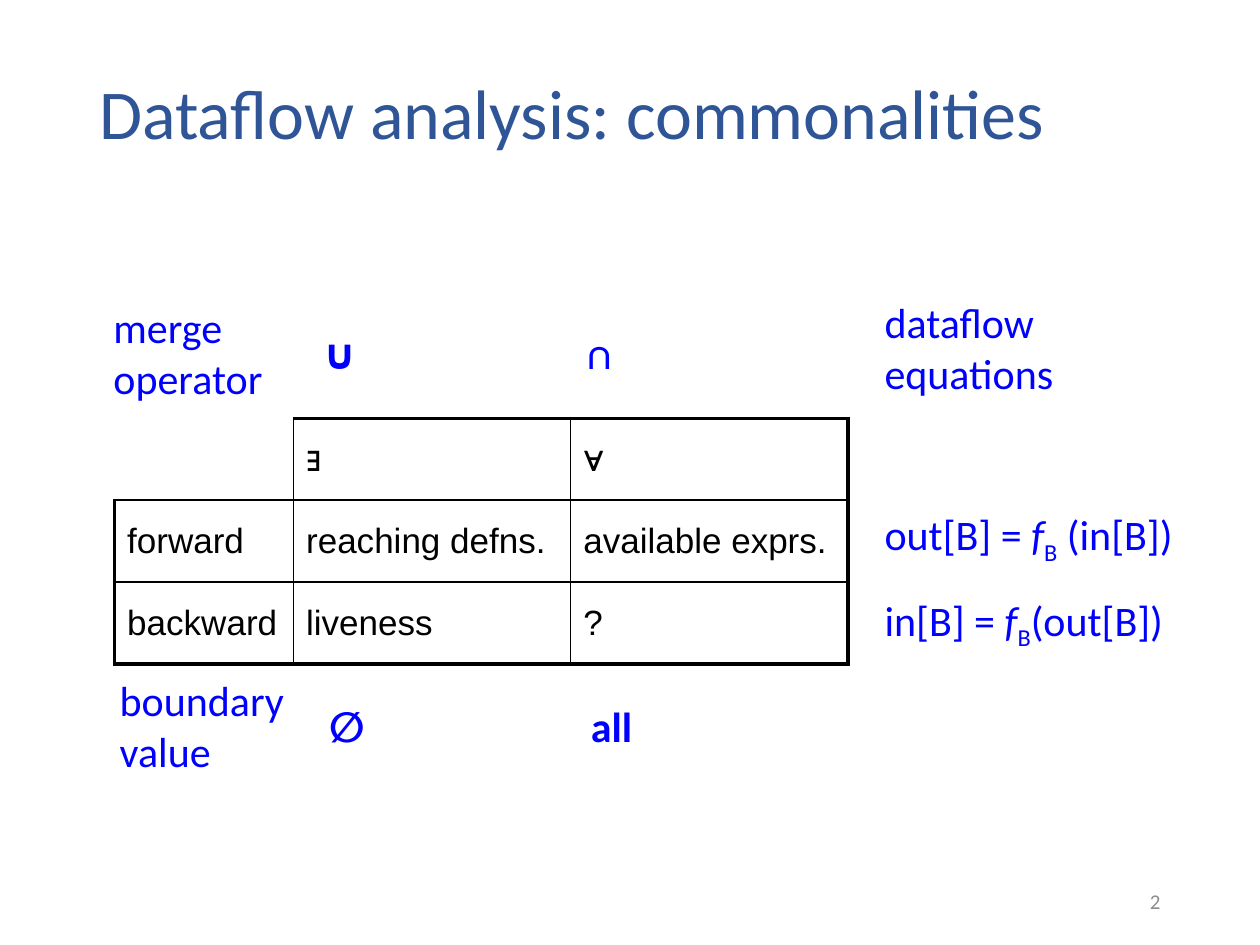
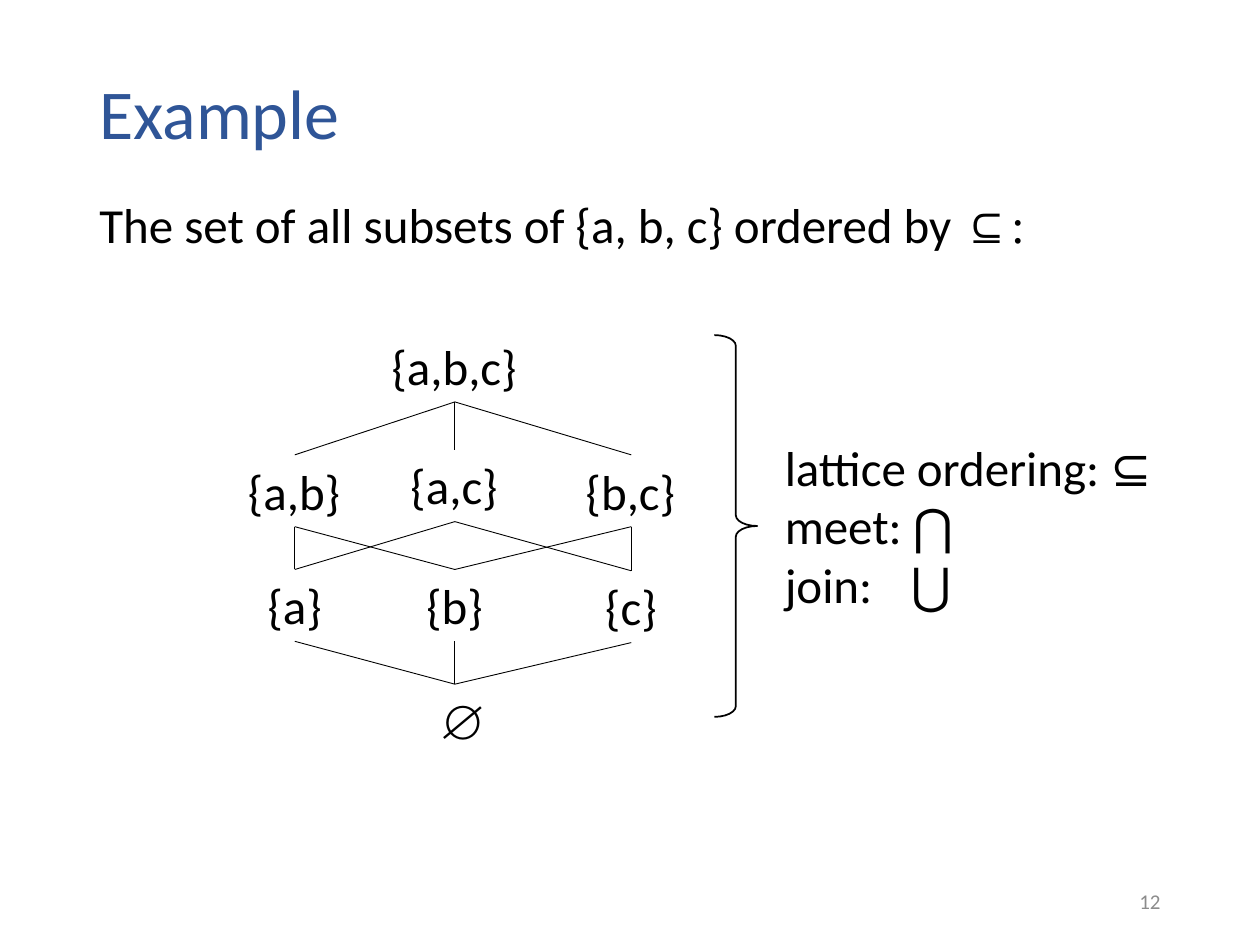
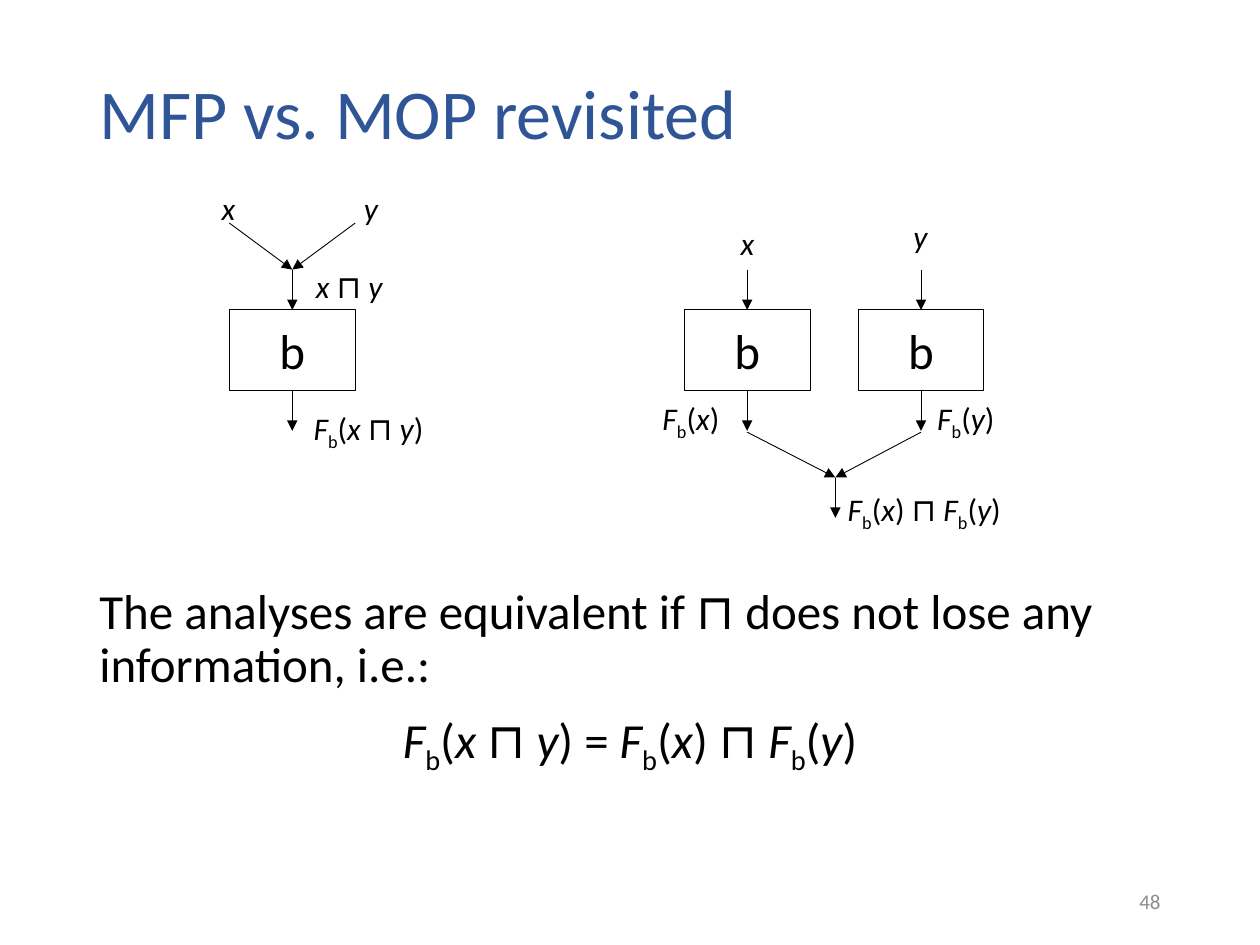
from itertools import combinations, groupby

from lxml.etree import SubElement
from pptx import Presentation
from pptx.dml.color import RGBColor
from pptx.enum.shapes import MSO_CONNECTOR, MSO_SHAPE
from pptx.enum.text import MSO_ANCHOR, MSO_AUTO_SIZE, PP_ALIGN
from pptx.oxml.ns import qn
from pptx.util import Inches, Pt

TITLE_BLUE = RGBColor(0x2F, 0x55, 0x97)
NOTE_BLUE = RGBColor(0x00, 0x00, 0xFF)
BLACK = RGBColor(0x00, 0x00, 0x00)
FOOTER_GREY = RGBColor(0x8C, 0x8C, 0x8C)
BODY_FONT = "Calibri"
GRID_FONT = "Arial"
SET_FONT = "Times New Roman"
PLAIN_TABLE_STYLE = "{2D5ABB26-0587-4C30-8999-92F81FD0307C}"
THICK, THIN, HAIR = 2.25, 1, 0.5
MARGIN, CONTENT_WIDTH = 0.69, 8.62


# ---- Text ----

def add_run(paragraph, text, size, color=BLACK, font=BODY_FONT,
            bold=False, italic=False, subscript=False):
    run = paragraph.add_run()
    run.text = text
    run.font.name = font
    run.font.size = Pt(size)
    run.font.color.rgb = color
    run.font.bold = bold
    run.font.italic = italic
    if subscript:
        run.font._element.set("baseline", "-25000")


def add_formula(paragraph, formula, size, color=BLACK):
    """Set F, f, x and y in italics; an underscore lowers the next letter."""
    styled = [(letter, letter in "Ffxy", before == "_")
              for before, letter in zip(" " + formula, formula) if letter != "_"]
    for (italic, subscript), letters in groupby(styled, key=lambda s: s[1:]):
        add_run(paragraph, "".join(s[0] for s in letters), size, color,
                italic=italic, subscript=subscript)


def add_text_frame(slide, box, anchor=MSO_ANCHOR.TOP, wrap=True):
    frame = slide.shapes.add_textbox(*map(Inches, box)).text_frame
    frame.word_wrap = wrap
    frame.vertical_anchor = anchor
    frame.auto_size = MSO_AUTO_SIZE.NONE if wrap else MSO_AUTO_SIZE.SHAPE_TO_FIT_TEXT
    return frame


def add_label(slide, left, top, width, formula):
    frame = add_text_frame(slide, (left, top, width, 0.4), wrap=False)
    add_formula(frame.paragraphs[0], formula, 18)


def add_titled_slide(deck, title, number):
    slide = deck.slides.add_slide(deck.slide_layouts[6])
    heading = add_text_frame(slide, (MARGIN, 0.4, CONTENT_WIDTH, 1.05),
                             MSO_ANCHOR.MIDDLE).paragraphs[0]
    heading.line_spacing = 0.9
    add_run(heading, title, 40, TITLE_BLUE)
    footer = add_text_frame(slide, (7.06, 6.95, 2.25, 0.4),
                            MSO_ANCHOR.MIDDLE).paragraphs[0]
    footer.alignment = PP_ALIGN.RIGHT
    add_run(footer, str(number), 12, FOOTER_GREY)
    return slide


# ---- Lines and tables ----

def add_line(slide, start, end, arrow=False):
    line = slide.shapes.add_connector(MSO_CONNECTOR.STRAIGHT,
                                      *map(Inches, (*start, *end)))
    line.line.color.rgb = BLACK
    line.line.width = Pt(HAIR)
    if arrow:
        SubElement(line.line._get_or_add_ln(), qn("a:tailEnd"), type="triangle")
    SubElement(line._element.spPr, qn("a:effectLst"))


def add_plain_table(slide, left, top, widths, heights):
    table = slide.shapes.add_table(
        len(heights), len(widths),
        *map(Inches, (left, top, sum(widths), sum(heights)))).table
    table.first_row = table.horz_banding = False
    table._tbl.tblPr.find(qn("a:tableStyleId")).text = PLAIN_TABLE_STYLE
    for column, width in zip(table.columns, widths):
        column.width = Inches(width)
    for row, height in zip(table.rows, heights):
        row.height = Inches(height)
    for cell in table.iter_cells():
        cell.fill.background()
        cell.vertical_anchor = MSO_ANCHOR.MIDDLE
    return table


def add_cell_borders(cell, widths):
    """Draw the given sides, keyed L, R, T and B, ahead of the cell fill."""
    properties = cell._tc.get_or_add_tcPr()
    for position, (side, width) in enumerate(widths.items()):
        border = SubElement(properties, qn(f"a:ln{side}"), w=str(Pt(width)))
        fill = SubElement(border, qn("a:solidFill"))
        SubElement(fill, qn("a:srgbClr"), val=str(BLACK))
        properties.insert(position, border)


# ---- Slide: commonalities ----

def add_analysis_grid(slide, left, top):
    rows = [["", "∃", "∀"],
            ["forward", "reaching defns.", "available exprs."],
            ["backward", "liveness", "?"]]
    table = add_plain_table(slide, left, top, [1.42, 2.2, 2.2], [0.65] * 3)
    for r, row in enumerate(rows):
        for c, text in enumerate(row):
            cell = table.cell(r, c)
            outer = {"L": c == 0, "R": c == 2, "T": r == 0, "B": r == 2}
            add_cell_borders(cell, {side: THICK if edge else THIN
                                    for side, edge in outer.items()
                                    if text or not edge})
            if text:
                add_run(cell.text_frame.paragraphs[0], text, 20, font=GRID_FONT)


def add_note_row(slide, left, top, heading, values):
    table = add_plain_table(slide, left, top, [1.66, 2.08, 2.18], [0.9])
    for c, text in enumerate([heading, *values]):
        add_run(table.cell(0, c).text_frame.paragraphs[0], text, 24, NOTE_BLUE,
                bold=c > 0)


def add_equations(slide, left, top):
    table = add_plain_table(slide, left, top, [2.53], [1.54, 0.74, 0.62])
    heading, forward, backward = table.iter_cells()
    for cell in (heading, forward, backward):
        cell.margin_top = cell.margin_bottom = 0
    heading.vertical_anchor = MSO_ANCHOR.TOP
    add_run(heading.text_frame.paragraphs[0], "dataflow equations", 24, NOTE_BLUE)
    add_formula(forward.text_frame.paragraphs[0], "out[B] = f_B (in[B])", 24, NOTE_BLUE)
    add_formula(backward.text_frame.paragraphs[0], "in[B] = f_B(out[B])", 24, NOTE_BLUE)


def build_commonalities(deck):
    slide = add_titled_slide(deck, "Dataflow analysis: commonalities", 2)
    add_analysis_grid(slide, 0.91, 3.32)
    add_note_row(slide, 0.8, 2.36, "merge operator", ["∪", "∩"])
    add_note_row(slide, 0.85, 5.32, "boundary value", ["∅", "all"])
    add_equations(slide, 6.92, 2.37)


# ---- Slide: subset lattice ----

def add_lattice(slide, left, top):
    node_height = 0.57
    west, middle, east = 0.47, 1.74, 3.14
    # Subset: centre, top and width, from the corner of the lattice
    nodes = {"abc": (middle, 0, 1.2),
             "ab": (west, 0.99, 0.94), "ac": (middle, 0.95, 0.9), "bc": (east, 0.99, 0.92),
             "a": (west, 1.9, 0.63), "b": (middle, 1.9, 0.65), "c": (east, 1.91, 0.61),
             "": (middle, 2.81, 0.45)}
    for subset, (center, node_top, width) in nodes.items():
        frame = add_text_frame(slide, (left + center - width / 2, top + node_top,
                                       width, node_height), wrap=False)
        text = "{" + ",".join(subset) + "}" if subset else "∅"
        add_run(frame.paragraphs[0], text, 28, font=BODY_FONT if subset else SET_FONT)
        # Each subset covers those with one element less
        for covered in combinations(subset, len(subset) - 1) if subset else ():
            below, below_top, _ = nodes["".join(covered)]
            add_line(slide, (left + center, top + node_top + node_height),
                     (left + below, top + below_top))


def add_lattice_summary(slide, left, top):
    brace = slide.shapes.add_shape(MSO_SHAPE.RIGHT_BRACE,
                                   *map(Inches, (left, top, 0.34, 3.03)))
    brace.shadow.inherit = False
    brace.fill.background()
    brace.line.color.rgb = BLACK
    brace.line.width = Pt(THIN)
    brace.adjustments[0], brace.adjustments[1] = 0.25, 0.5

    frame = add_text_frame(slide, (left + 0.46, top + 0.76, 3.12, 1.51), wrap=False)
    ordering, meet, join = (frame.paragraphs[0], frame.add_paragraph(),
                            frame.add_paragraph())
    add_run(ordering, "lattice ordering: ⊆", 28)
    add_run(meet, "meet: ⋂", 28)
    tabs = SubElement(join._p.get_or_add_pPr(), qn("a:tabLst"))
    SubElement(tabs, qn("a:tab"), pos=str(Inches(1)), algn="l")
    add_run(join, "join:\t⋃", 28)


def build_example(deck):
    slide = add_titled_slide(deck, "Example", 12)
    intro = add_text_frame(slide, (MARGIN, 1.55, CONTENT_WIDTH, 0.68)).paragraphs[0]
    intro.line_spacing = 0.9
    add_run(intro, "The set of all subsets of {a, b, c} ordered by ", 28)
    add_run(intro, "⊆:", 28, font=SET_FONT)
    add_lattice(slide, 1.87, 2.62)
    add_lattice_summary(slide, 5.67, 2.66)


# ---- Slide: MFP vs. MOP ----

def add_block(slide, left, top):
    """Draw block b with its arrows in and out."""
    width, height, arrow = 1, 0.64, 0.32
    block = slide.shapes.add_shape(MSO_SHAPE.RECTANGLE,
                                   *map(Inches, (left, top, width, height)))
    block.shadow.inherit = False
    block.fill.background()
    block.line.color.rgb = BLACK
    block.line.width = Pt(HAIR)
    block.text_frame.vertical_anchor = MSO_ANCHOR.MIDDLE
    paragraph = block.text_frame.paragraphs[0]
    paragraph.alignment = PP_ALIGN.CENTER
    add_run(paragraph, "b", 28)
    center, bottom = left + width / 2, top + height
    add_line(slide, (center, top - arrow), (center, top), arrow=True)
    add_line(slide, (center, bottom), (center, bottom + arrow), arrow=True)


def add_merge(slide, starts, meeting):
    for start in starts:
        add_line(slide, start, meeting, arrow=True)


def add_merge_first(slide, left, top):
    add_block(slide, left, top)
    add_merge(slide, [(left, top - 0.69), (left + 1, top - 0.69)],
              (left + 0.5, top - 0.32))
    add_label(slide, left - 0.16, top - 1.01, 0.31, "x")
    add_label(slide, left + 0.97, top - 1.01, 0.31, "y")
    add_label(slide, left + 0.59, top - 0.39, 0.73, "x ⊓ y")
    add_label(slide, left + 0.57, top + 0.74, 1.12, "F_b(x ⊓ y)")


def add_merge_last(slide, left, top):
    pitch = 1.38
    for block in range(2):
        add_block(slide, left + block * pitch, top)
    meeting = (left + 1.2, top + 1.33)
    add_merge(slide, [(left + 0.5 + block * pitch, top + 0.97) for block in range(2)],
              meeting)
    add_line(slide, meeting, (meeting[0], meeting[1] + 0.32), arrow=True)
    add_label(slide, left + 0.35, top - 0.73, 0.31, "x")
    add_label(slide, left + 1.72, top - 0.79, 0.31, "y")
    add_label(slide, left - 0.27, top + 0.66, 0.67, "F_b(x)")
    add_label(slide, left + 1.91, top + 0.66, 0.67, "F_b(y)")
    add_label(slide, left + 1.2, top + 1.38, 1.43, "F_b(x) ⊓ F_b(y)")


def build_revisited(deck):
    slide = add_titled_slide(deck, "MFP vs. MOP revisited", 48)
    add_merge_first(slide, 1.82, 2.46)
    add_merge_last(slide, 5.43, 2.46)
    frame = add_text_frame(slide, (MARGIN, 4.61, CONTENT_WIDTH, 1.77))
    condition, equation = frame.paragraphs[0], frame.add_paragraph()
    condition.line_spacing = equation.line_spacing = 0.9
    add_run(condition, "The analyses are equivalent if ⊓ does not lose any "
                       "information, i.e.:", 28)
    equation.alignment = PP_ALIGN.CENTER
    equation.space_before = Pt(10)
    add_formula(equation, "F_b(x ⊓ y) = F_b(x) ⊓ F_b(y)", 28)


def main():
    deck = Presentation()
    deck.slide_width, deck.slide_height = Inches(10), Inches(7.5)
    build_commonalities(deck)
    build_example(deck)
    build_revisited(deck)
    deck.save("out.pptx")


if __name__ == "__main__":
    main()
